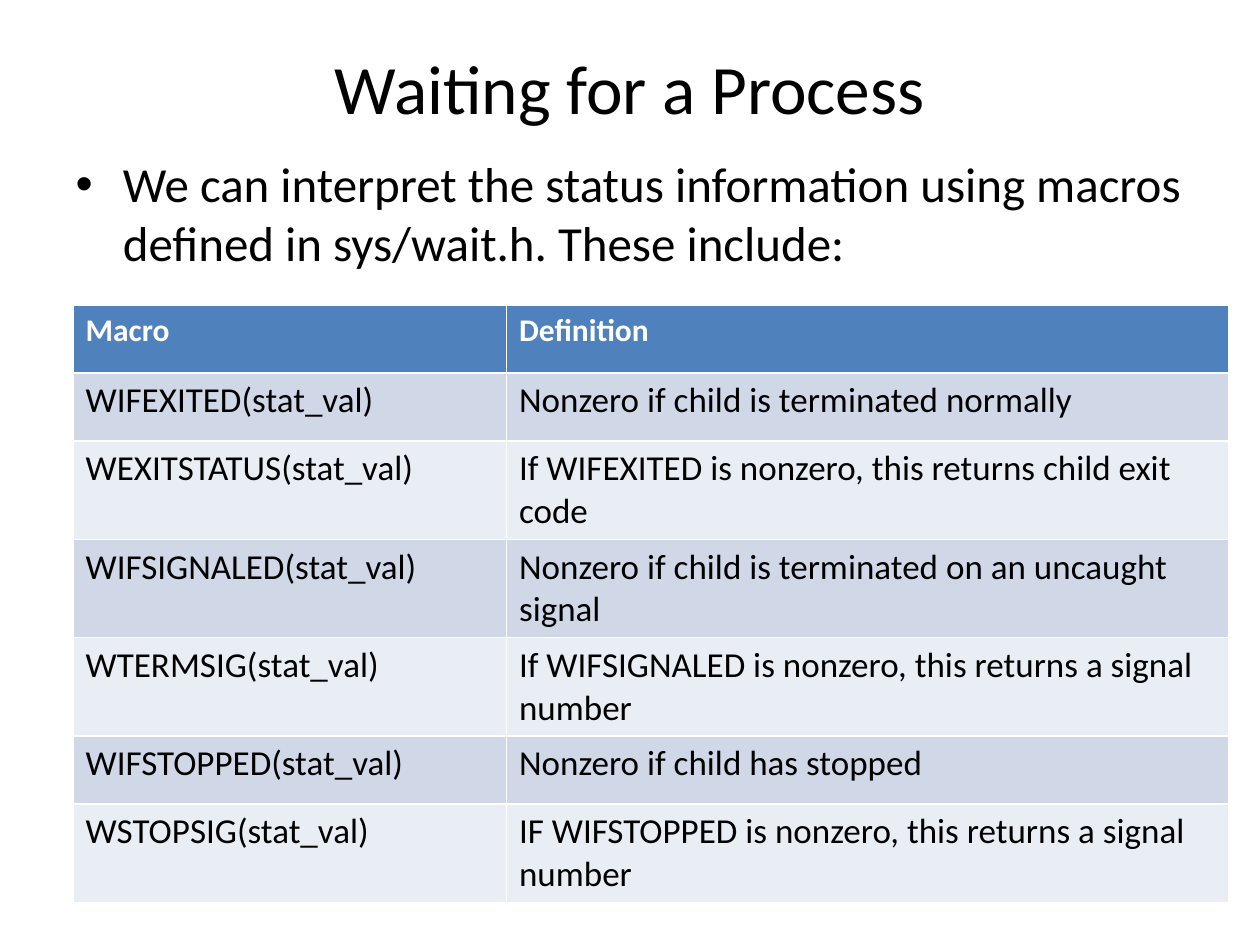
from pptx import Presentation
from pptx.dml.color import RGBColor
from pptx.enum.text import MSO_ANCHOR, PP_ALIGN
from pptx.util import Inches, Pt

CENTER = PP_ALIGN.CENTER
MIDDLE = MSO_ANCHOR.MIDDLE
FONT = "Calibri"
COLORS = {"text": "000000", "white": "FFFFFF", "head": "4F81BD",
          "odd": "D0D8E8", "even": "E9EDF4"}

ROWS = [
    ("Macro", "Definition"),
    ("WIFEXITED(stat_val)", "Nonzero if child is terminated normally"),
    ("WEXITSTATUS(stat_val)",
     "If WIFEXITED is nonzero, this returns child exit code"),
    ("WIFSIGNALED(stat_val)",
     "Nonzero if child is terminated on an uncaught signal"),
    ("WTERMSIG(stat_val)",
     "If WIFSIGNALED is nonzero, this returns a signal number"),
    ("WIFSTOPPED(stat_val)", "Nonzero if child has stopped"),
    ("WSTOPSIG(stat_val)",
     "IF WIFSTOPPED is nonzero, this returns a signal number"),
]
WIDTHS = [3.44, 5.73]
HEIGHTS = [0.54, 0.54, 0.54, 0.72, 0.54, 0.54, 0.54]


def place(shape, left, top, width, height):
    shape.left, shape.top = Inches(left), Inches(top)
    shape.width, shape.height = Inches(width), Inches(height)


def write(frame, text, size, color="text", bold=False):
    frame.text = text
    par = frame.paragraphs[0]
    font = par.font
    font.name, font.size, font.bold = FONT, Pt(size), bold
    font.color.rgb = RGBColor.from_string(COLORS[color])
    return par


deck = Presentation()
deck.slide_width, deck.slide_height = Inches(10), Inches(7.5)
slide = deck.slides.add_slide(deck.slide_layouts[1])

# Title
title = slide.shapes.title
place(title, 0.5, 0.3, 9, 0.78)
title.text_frame.vertical_anchor = MIDDLE
write(title.text_frame, "Waiting for a Process", 39.6).alignment = CENTER

# Bulleted introduction
body = slide.placeholders[1]
place(body, 0.5, 1.17, 9, 4.95)
write(body.text_frame, "We can interpret the status information using macros "
      "defined in sys/wait.h. These include:", 28)

# Table of macros; its default style draws the white borders
table = slide.shapes.add_table(
    len(ROWS), len(WIDTHS), Inches(0.58), Inches(2.42),
    Inches(sum(WIDTHS)), Inches(sum(HEIGHTS))).table
for col, width in zip(table.columns, WIDTHS):
    col.width = Inches(width)
for row, height in zip(table.rows, HEIGHTS):
    row.height = Inches(height)

for i, texts in enumerate(ROWS):
    head = i == 0
    band = "head" if head else "odd" if i % 2 else "even"
    for j, text in enumerate(texts):
        cell = table.cell(i, j)
        cell.fill.solid()
        cell.fill.fore_color.rgb = RGBColor.from_string(COLORS[band])
        write(cell.text_frame, text, 18 if head else 20,
              "white" if head else "text", head)

deck.save("out.pptx")
